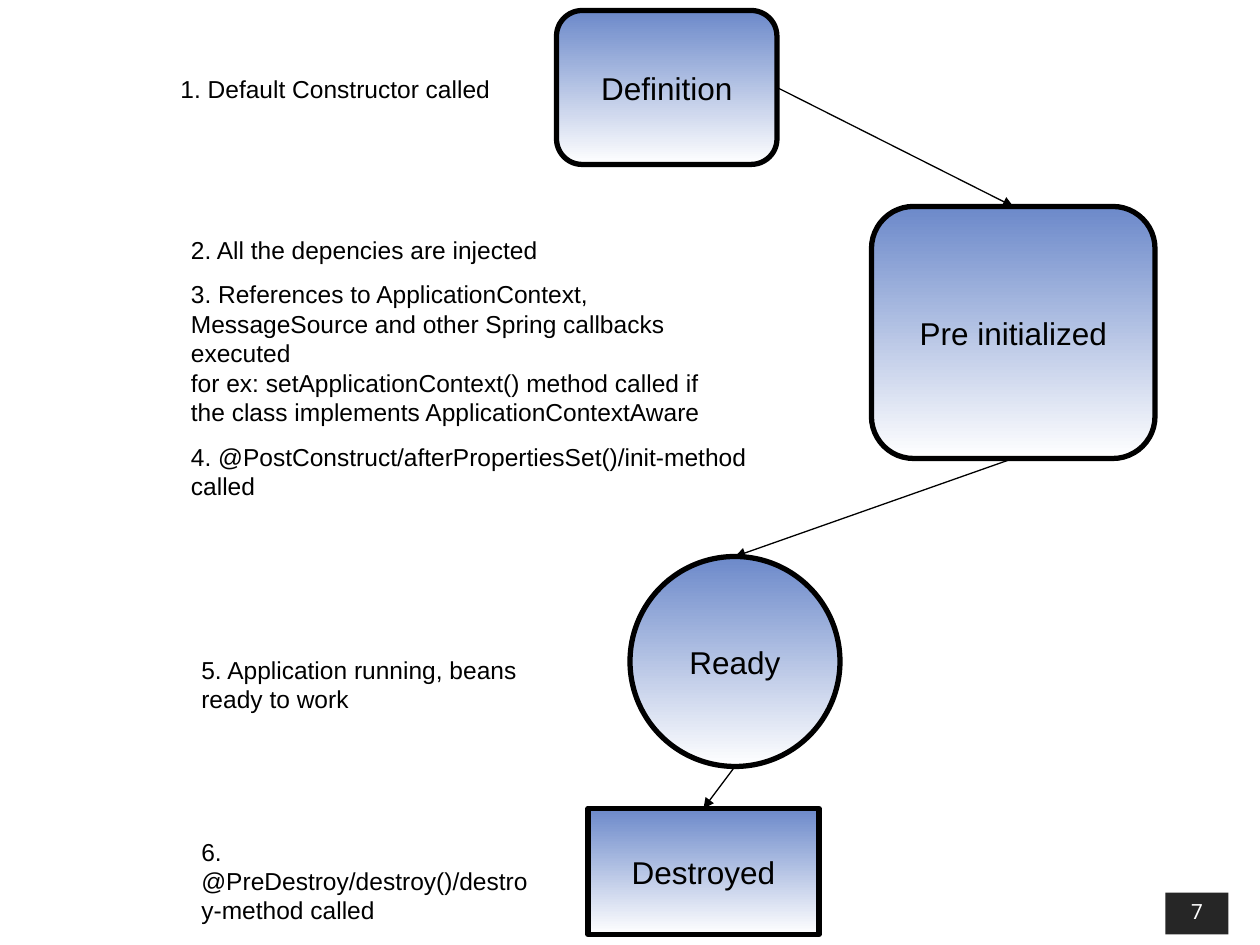
"""Builds the bean life cycle slide: four states, their arrows and numbered steps."""
from dataclasses import dataclass

import lxml.etree
import pptx
import pptx.dml.color
import pptx.enum.shapes
import pptx.enum.text
import pptx.oxml.ns
import pptx.util

Pt = pptx.util.Pt
Kind = pptx.enum.shapes.MSO_SHAPE
Align = pptx.enum.text.PP_ALIGN
Anchor = pptx.enum.text.MSO_ANCHOR


@dataclass(frozen=True)
class Theme:
    """Colours, fonts, type sizes and line widths."""
    ink: str = "000000"
    state_top: str = "6C89CA"
    state_bottom: str = "FFFFFF"
    badge: str = "262626"
    badge_ink: str = "FFFFFF"
    font: str = "Arial"
    badge_font: str = "Roboto"
    state_size: float = 18
    step_size: float = 14
    badge_size: float = 12
    step_gap: float = 8.8
    outline: float = 3
    arrow: float = 0.75


@dataclass(frozen=True)
class State:
    """One life cycle state, with its frame in points."""
    name: str
    kind: Kind
    frame: tuple[float, float, float, float]


@dataclass(frozen=True)
class Note:
    """Lines of step text, each with the space before it, and their frame in points."""
    lines: tuple[tuple[str, float], ...]
    frame: tuple[float, float, float, float]


@dataclass(frozen=True)
class Arrow:
    """A link from a side of one state, as fractions of its size, to the top of another."""
    start: str
    end: str
    side: tuple[float, float]


THEME = Theme()
GAP = THEME.step_gap
RIGHT, BOTTOM, TOP = (1, 0.5), (0.5, 1), (0.5, 0)

STATES = (
    State("Destroyed", Kind.RECTANGLE, (336, 462, 132, 72)),
    State("Definition", Kind.ROUNDED_RECTANGLE, (318, 6, 126, 88)),
    State("Pre initialized", Kind.ROUNDED_RECTANGLE, (498, 118, 162, 144)),
    State("Ready", Kind.OVAL, (360, 318, 120, 120)),
)

NOTES = (
    Note((("1. Default Constructor called", 0),), (96, 38.5, 198, 24.2)),
    Note((
        ("2. All the depencies are injected", GAP),
        ("3. References to ApplicationContext, MessageSource "
         "and other Spring callbacks executed", GAP),
        ("for ex: setApplicationContext() method called if", 0),
        ("the class implements ApplicationContextAware", 0),
        ("4. @PostConstruct/afterPropertiesSet()/init-method called", GAP),
    ), (102, 130.5, 336, 159)),
    Note((("5. Application running, beans ready to work", 0),), (108, 370.5, 199.5, 41)),
    Note((("6. @PreDestroy/destroy()/destroy-method called", GAP),), (108, 474.5, 202, 57.6)),
)

ARROWS = (
    Arrow("Definition", "Pre initialized", RIGHT),
    Arrow("Pre initialized", "Ready", BOTTOM),
    Arrow("Ready", "Destroyed", BOTTOM),
)


def colour(code: str) -> pptx.dml.color.RGBColor:
    """Turn a hex code into a colour."""
    return pptx.dml.color.RGBColor.from_string(code)


def write(para, text: str, *, size: float, font: str = THEME.font,
          ink: str = THEME.ink, align: Align = Align.LEFT, before: float = 0) -> None:
    """Add formatted text to a paragraph."""
    para.alignment = align
    para.space_before = Pt(before)
    span = para.add_run()
    span.text = text
    span.font.name = font
    span.font.size = Pt(size)
    span.font.color.rgb = colour(ink)


def add_state(page, state: State) -> None:
    """Draw a state with its gradient, outline and name."""
    box = page.shapes.add_shape(state.kind, *map(Pt, state.frame))
    box.shadow.inherit = False
    box.fill.gradient()
    box.fill.gradient_angle = 270
    for stop, code in zip(box.fill.gradient_stops, (THEME.state_top, THEME.state_bottom)):
        stop.color.rgb = colour(code)
    box.line.color.rgb = colour(THEME.ink)
    box.line.width = Pt(THEME.outline)
    box.text_frame.word_wrap = False
    box.text_frame.vertical_anchor = Anchor.MIDDLE
    write(box.text_frame.paragraphs[0], state.name, size=THEME.state_size, align=Align.CENTER)


def add_note(page, note: Note) -> None:
    """Draw a wrapped text box of steps."""
    frame = page.shapes.add_textbox(*map(Pt, note.frame)).text_frame
    frame.word_wrap = True
    for index, (text, before) in enumerate(note.lines):
        para = frame.add_paragraph() if index else frame.paragraphs[0]
        write(para, text, size=THEME.step_size, before=before)


def point_on(state: State, side: tuple[float, float]) -> tuple[pptx.util.Length, ...]:
    """Find the point at fractions of a state's width and height."""
    left, top, width, height = state.frame
    return Pt(left + width * side[0]), Pt(top + height * side[1])


def add_arrow(page, arrow: Arrow) -> None:
    """Draw a straight arrow between two states."""
    states = {state.name: state for state in STATES}
    link = page.shapes.add_connector(
        pptx.enum.shapes.MSO_CONNECTOR.STRAIGHT,
        *point_on(states[arrow.start], arrow.side), *point_on(states[arrow.end], TOP))
    link.line.color.rgb = colour(THEME.ink)
    link.line.width = Pt(THEME.arrow)
    qn = pptx.oxml.ns.qn
    outline = link._element.spPr.find(qn("a:ln"))
    lxml.etree.SubElement(outline, qn("a:tailEnd"), type="triangle")
    lxml.etree.SubElement(link._element.spPr, qn("a:effectLst"))


def add_badge(page, number: str) -> None:
    """Draw the page number badge."""
    box = page.shapes.add_shape(Kind.RECTANGLE, Pt(666), Pt(510), Pt(36), Pt(24))
    box.shadow.inherit = False
    box.fill.solid()
    box.fill.fore_color.rgb = colour(THEME.badge)
    box.line.fill.background()
    box.text_frame.vertical_anchor = Anchor.TOP
    write(box.text_frame.paragraphs[0], number, size=THEME.badge_size,
          font=THEME.badge_font, ink=THEME.badge_ink, align=Align.CENTER)


def main() -> None:
    """Build and save the deck."""
    deck = pptx.Presentation()
    deck.slide_width, deck.slide_height = Pt(720), Pt(540)
    page = deck.slides.add_slide(deck.slide_layouts[6])
    add_badge(page, "7")
    for state in STATES:
        add_state(page, state)
    for note in NOTES:
        add_note(page, note)
    for arrow in ARROWS:
        add_arrow(page, arrow)
    deck.save("out.pptx")


if __name__ == "__main__":
    main()
